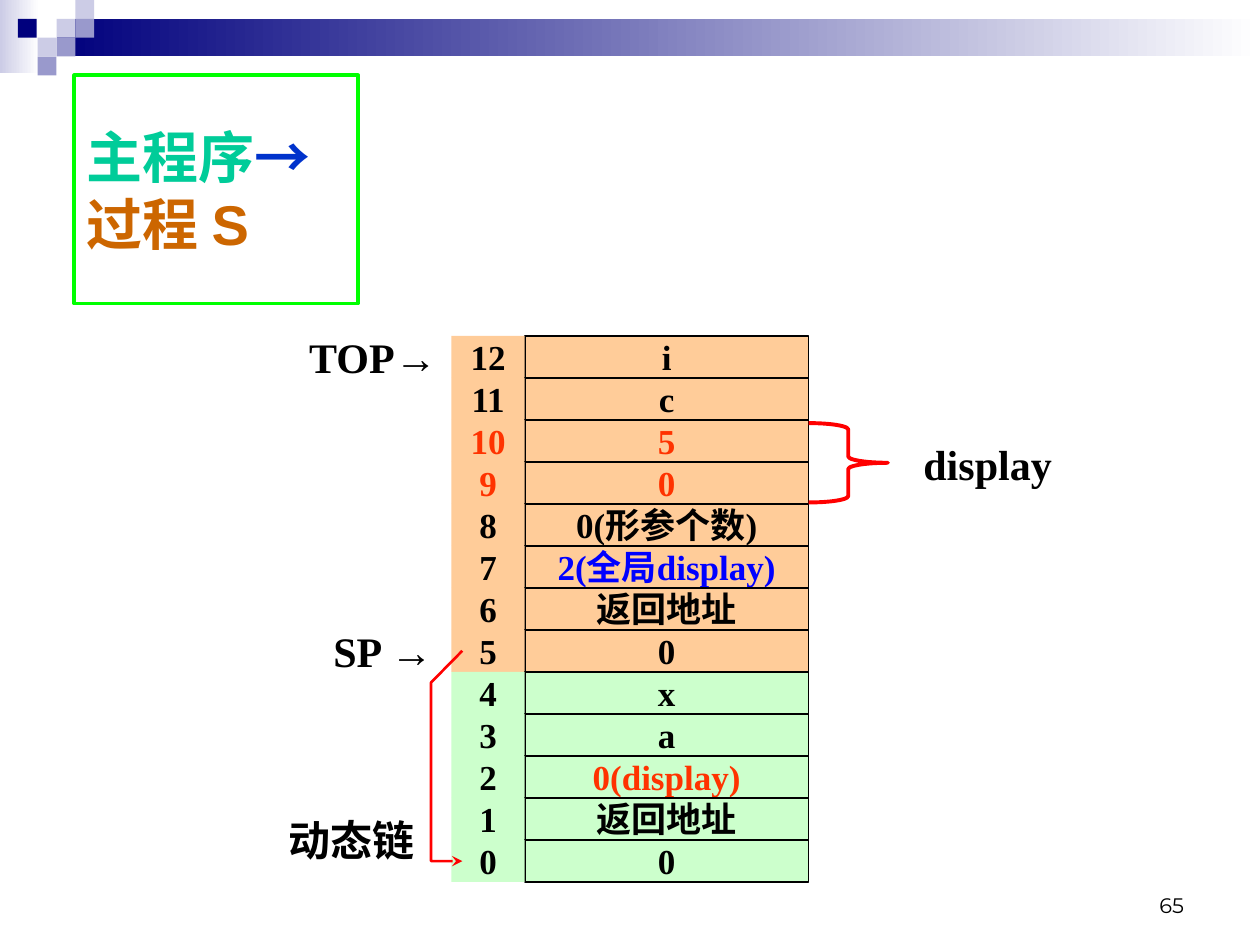
from lxml.etree import SubElement
from pptx import Presentation
from pptx.dml.color import RGBColor
from pptx.enum.shapes import MSO_SHAPE
from pptx.enum.text import MSO_ANCHOR, PP_ALIGN
from pptx.oxml.ns import qn
from pptx.util import Cm, Pt


class Theme:
    navy = RGBColor.from_string("00007D")
    lavender = RGBColor.from_string("CCCCE6")
    violet = RGBColor.from_string("9999CC")
    white = RGBColor.from_string("FFFFFF")
    black = RGBColor.from_string("000000")
    green_cell = RGBColor.from_string("CCFFCC")
    orange_cell = RGBColor.from_string("FFCC99")
    highlight = RGBColor.from_string("FF3300")
    blue = RGBColor.from_string("0000FF")
    red = RGBColor.from_string("FF0000")
    lime = RGBColor.from_string("00FF00")
    teal = RGBColor.from_string("00CC99")
    arrow_blue = RGBColor.from_string("0033CC")
    brown = RGBColor.from_string("CC6600")
    serif, sans, number_font = "Times New Roman", "Arial", "Montserrat"
    title_size, label_size, cell_size, number_size = Pt(32), Pt(24), Pt(20), Pt(12)


def add_box(left, top, width, height, fill=None, line=None, line_width=1, kind=MSO_SHAPE.RECTANGLE):
    shape = slide.shapes.add_shape(kind, Cm(left), Cm(top), Cm(width), Cm(height))
    shape.shadow.inherit = False
    if fill is None:
        shape.fill.background()
    elif isinstance(fill, list):
        shape.fill.gradient()
        shape.fill.gradient_angle = 0
        for stop, position, color in zip(shape.fill.gradient_stops, (0, 1), fill):
            stop.position = position
            stop.color.rgb = color
    else:
        shape.fill.solid()
        shape.fill.fore_color.rgb = fill
    if line is None:
        shape.line.fill.background()
    else:
        shape.line.color.rgb = line
        shape.line.width = Pt(line_width)
    return shape


def write(shape, pieces, size, align=PP_ALIGN.CENTER, anchor=MSO_ANCHOR.MIDDLE, wrap=False, bold=True):
    text_frame = shape.text_frame
    text_frame.word_wrap = wrap
    text_frame.vertical_anchor = anchor
    paragraph = text_frame.paragraphs[0]
    paragraph.text = pieces[0][0]
    paragraph.alignment = align
    for text, *_ in pieces[1:]:
        paragraph.add_run().text = text
    for run, (_, font_name, color) in zip(paragraph.runs, pieces):
        run.font.name = font_name
        run.font.size = size
        run.font.bold = bold
        run.font.color.rgb = color


presentation = Presentation()
presentation.slide_width = Cm(25.4)
presentation.slide_height = Cm(19.05)
slide = presentation.slides.add_slide(presentation.slide_layouts[6])

add_box(0, 0, 0.79, 1.47, [Theme.lavender, Theme.white])
add_box(1.14, 0.38, 24.26, 0.76, [Theme.navy, Theme.white])
square = 0.38
for left, top, color in [
    (1.14, 0.38, Theme.lavender),
    (1.52, 0, Theme.lavender),
    (1.52, 0.38, Theme.violet),
    (0.76, 0.76, Theme.lavender),
    (0.36, 0.38, Theme.navy),
    (1.14, 0.76, Theme.violet),
    (0.76, 1.14, Theme.violet),
]:
    add_box(left, top, square, square, color)

title = add_box(1.5, 1.52, 5.72, 4.6, line=Theme.lime, line_width=2.25)
write(title, [
    ("主程序", Theme.sans, Theme.teal),
    ("→", Theme.sans, Theme.arrow_blue),
    ("过程 S", Theme.sans, Theme.brown),
], Theme.title_size, align=PP_ALIGN.LEFT, wrap=True)

stack_top, row_height = 6.77, 2.54 / 3
index_left, index_width = 9.1, 1.48
value_left, value_width = 10.58, 5.72
values = ["i", "c", "5", "0", "0(形参个数)", "2(全局display)", "返回地址", "0",
          "x", "a", "0(display)", "返回地址", "0"]
value_colors = {10: Theme.highlight, 9: Theme.highlight, 7: Theme.blue, 2: Theme.highlight}
index_colors = {10: Theme.highlight, 9: Theme.highlight}
for row, value in enumerate(values):
    address = len(values) - 1 - row
    top = stack_top + row * row_height
    fill = Theme.orange_cell if address >= 5 else Theme.green_cell
    value_cell = add_box(value_left, top, value_width, row_height, fill, Theme.black)
    index_cell = add_box(index_left, top, index_width, row_height, fill)
    for cell, text, colors in [(value_cell, value, value_colors), (index_cell, str(address), index_colors)]:
        cell.text_frame.margin_top = cell.text_frame.margin_bottom = 0
        write(cell, [(text, Theme.serif, colors.get(address, Theme.black))], Theme.cell_size)

for left, top, text, arrow in [
    (5.72, 6.77, "TOP", "→"),
    (5.92, 12.7, "SP ", "→"),
    (5.28, 16.51, "动态链", ""),
    (18.11, 8.92, "display", ""),
]:
    label = slide.shapes.add_textbox(Cm(left), Cm(top), Cm(3.6), Cm(0.85))
    pieces = [(text, Theme.serif, Theme.black)]
    if arrow:
        pieces.append((arrow, Theme.sans, Theme.black))
    write(label, pieces, Theme.label_size)

builder = slide.shapes.build_freeform(Cm(9.32), Cm(13.12))
builder.add_line_segments(
    [(Cm(8.69), Cm(13.76)), (Cm(8.69), Cm(17.36)), (Cm(9.32), Cm(17.36))], close=False)
dynamic_link = builder.convert_to_shape()
dynamic_link.shadow.inherit = False
dynamic_link.fill.background()
dynamic_link.line.color.rgb = Theme.red
dynamic_link.line.width = Pt(1.5)
SubElement(dynamic_link.element.spPr.find(qn("a:ln")), qn("a:tailEnd"), type="stealth")

brace = add_box(16.3, 8.53, 1.6, 1.6, line=Theme.red, line_width=2.25, kind=MSO_SHAPE.RIGHT_BRACE)
brace.adjustments[0] = 0.08

page_number = slide.shapes.add_textbox(Cm(18.2), Cm(17.36), Cm(5.92), Cm(1.27))
write(page_number, [("65", Theme.number_font, Theme.black)], Theme.number_size,
      align=PP_ALIGN.RIGHT, anchor=MSO_ANCHOR.BOTTOM, wrap=True, bold=False)

presentation.save("out.pptx")
